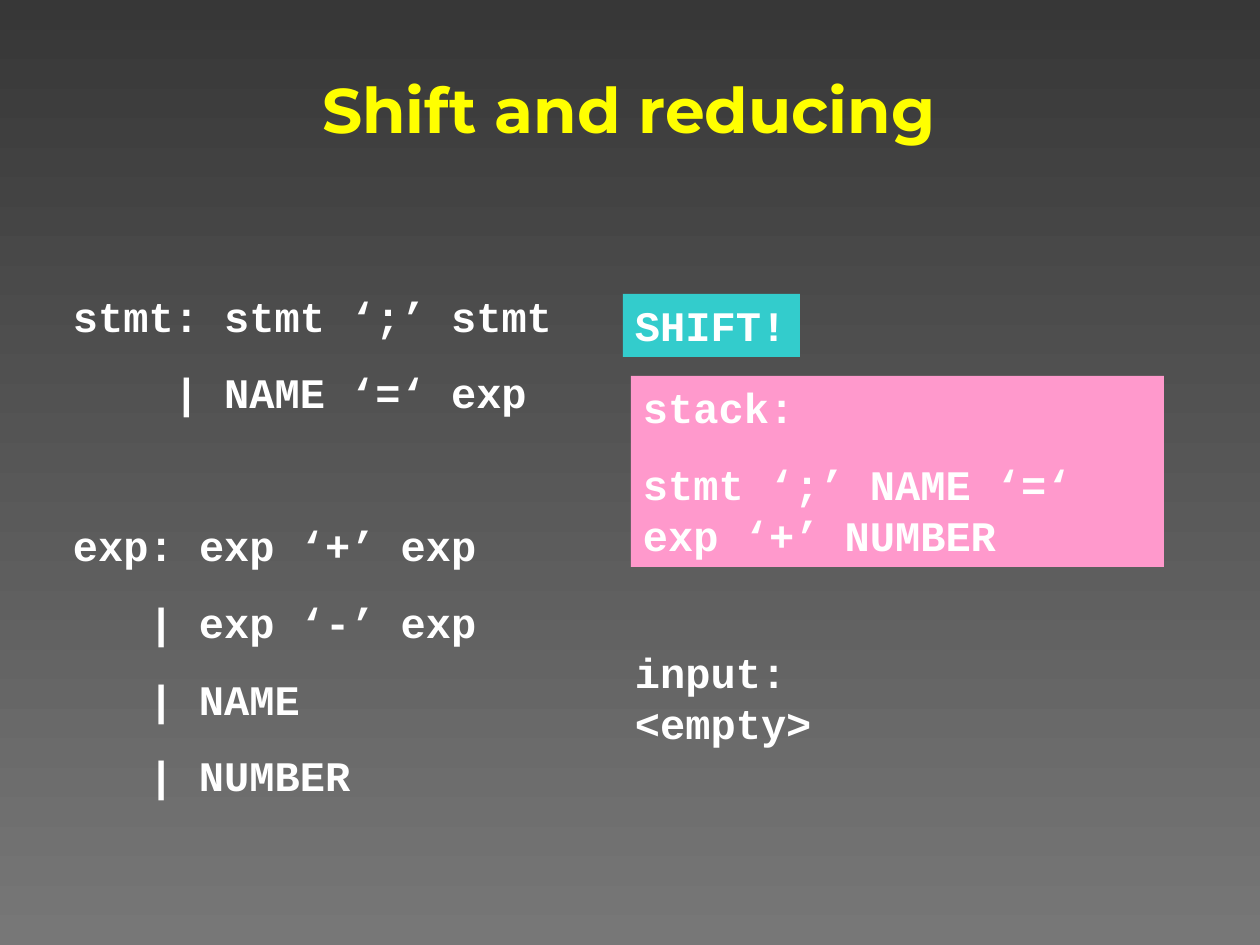
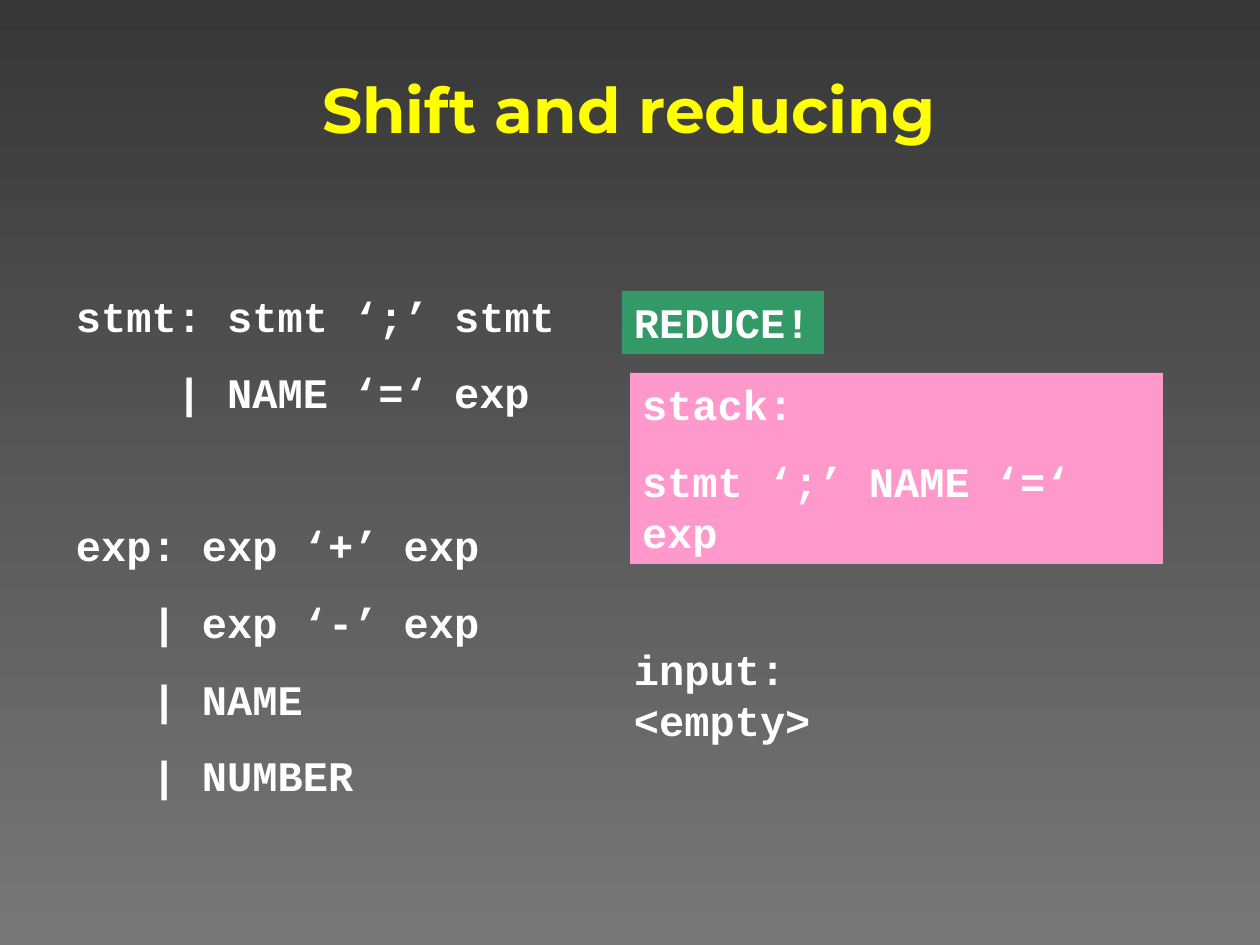
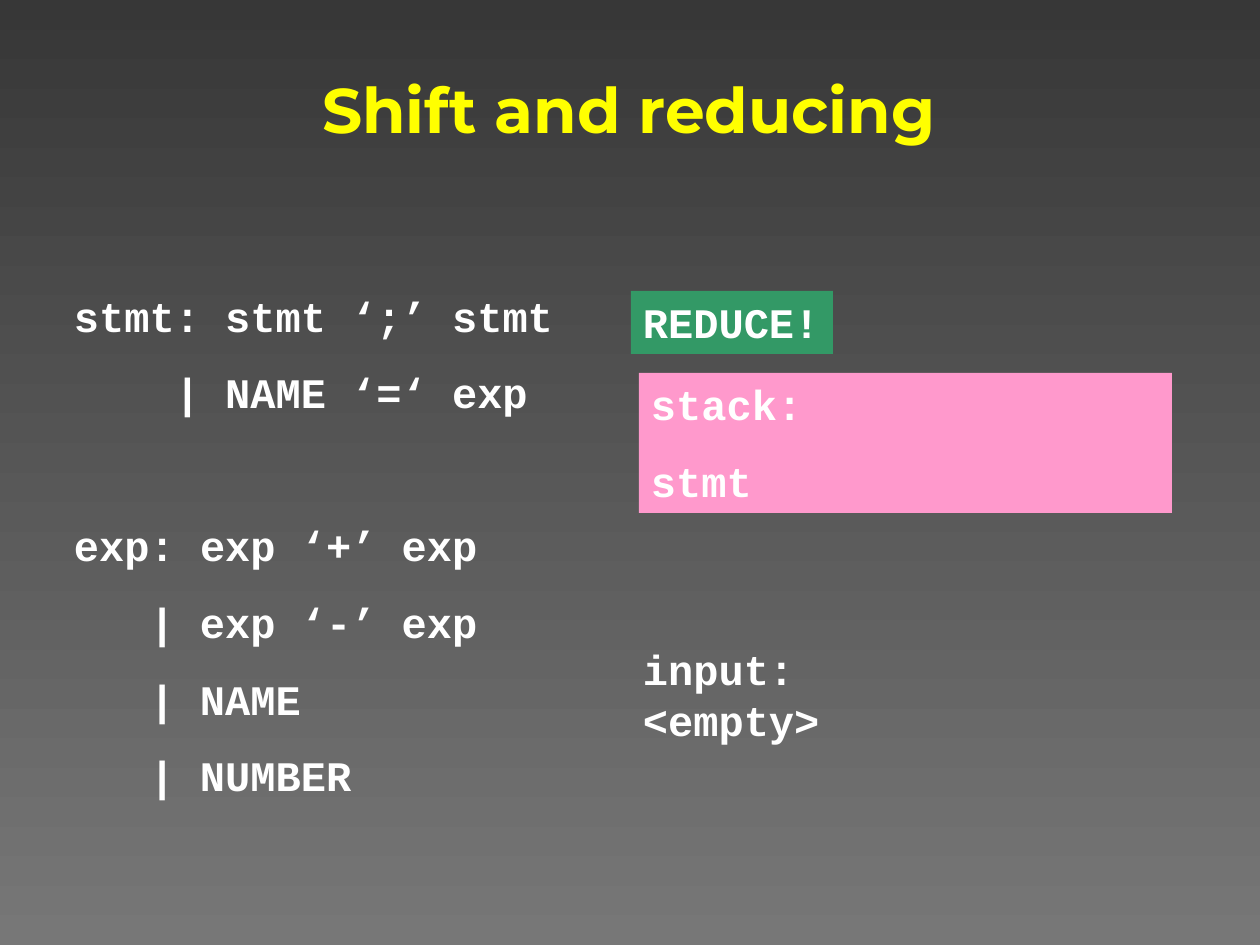
from pptx import Presentation
from pptx.dml.color import RGBColor
from pptx.enum.shapes import MSO_SHAPE
from pptx.enum.text import MSO_ANCHOR, PP_ALIGN
from pptx.util import Emu, Pt

EMU_PER_PX = 914400 / 126
DARK_GREY = RGBColor(0x37, 0x37, 0x37)
MID_GREY = RGBColor(0x77, 0x77, 0x77)
YELLOW = RGBColor(0xFF, 0xFF, 0x00)
WHITE = RGBColor(0xFF, 0xFF, 0xFF)
PINK = RGBColor(0xFF, 0x99, 0xCC)
TEAL = RGBColor(0x33, 0xCC, 0xCC)
GREEN = RGBColor(0x33, 0x99, 0x66)

TITLE_FONT = "Montserrat"
CODE_FONT = "Courier New"
CHAR_W = 25.2
LINE_H = 51
PAD_X, PAD_Y = 12, 6
GAP_PT, LINE_PT = 15, 28.7

GRAMMAR = [
    (0, "stmt: stmt ‘;’ stmt", GAP_PT),
    (4, "| NAME ‘=‘ exp", GAP_PT),
    (0, "exp: exp ‘+’ exp", 2 * GAP_PT + LINE_PT),
    (3, "| exp ‘-’ exp", GAP_PT),
    (3, "| NAME", GAP_PT),
    (3, "| NUMBER", GAP_PT),
]

STEPS = [
    (61, (623, 294), "SHIFT!", TEAL, "stmt ‘;’ NAME ‘=‘ exp ‘+’ NUMBER", 2),
    (64, (622, 291), "REDUCE!", GREEN, "stmt ‘;’ NAME ‘=‘ exp", 2),
    (62, (631, 291), "REDUCE!", GREEN, "stmt", 1),
]


def px(n):
    return Emu(round(n * EMU_PER_PX))


def code_width(text):
    return round(len(text) * CHAR_W) + 2 * PAD_X + 2


def add_box(s, x, y, w, h, fill=None, wrap=True, anchor=MSO_ANCHOR.TOP):
    box = [px(n) for n in (x, y, w, h)]
    if fill is None:
        sp = s.shapes.add_textbox(*box)
    else:
        sp = s.shapes.add_shape(MSO_SHAPE.RECTANGLE, *box)
        sp.shadow.inherit = False
        sp.fill.solid()
        sp.fill.fore_color.rgb = fill
        sp.line.fill.background()
    tf = sp.text_frame
    tf.word_wrap = wrap
    tf.vertical_anchor = anchor
    tf.margin_left = tf.margin_right = px(PAD_X)
    tf.margin_top = tf.margin_bottom = px(PAD_Y)
    return tf


def style(p, font=CODE_FONT, size=24, color=WHITE, align=PP_ALIGN.LEFT):
    p.alignment = align
    p.font.name = font
    p.font.size = Pt(size)
    p.font.bold = True
    p.font.color.rgb = color


def write_code(tf, lines):
    for i, (indent, text, gap) in enumerate(lines):
        p = tf.add_paragraph() if i else tf.paragraphs[0]
        p.text = text
        p.space_before = Pt(gap)
        style(p)
        if indent:
            pPr = p._p.get_or_add_pPr()
            pPr.set("marL", str(px(indent * CHAR_W)))
            pPr.set("indent", "0")


def add_title(s, text):
    tf = add_box(s, 36, 45, 1186, 126, anchor=MSO_ANCHOR.MIDDLE)
    p = tf.paragraphs[0]
    p.text = text
    style(p, TITLE_FONT, 36, YELLOW, PP_ALIGN.CENTER)


def add_grammar(s, x, y):
    write_code(add_box(s, x, y, 514, 523), GRAMMAR)


def add_parser_state(s, x, y, action, color, stack, stack_lines):
    tf = add_box(s, x, y + 347, code_width("<empty>"), 2 * PAD_Y + 2 * LINE_H, wrap=False)
    write_code(tf, [(0, "input:", 0), (0, "<empty>", 0)])

    stack_h = 2 * PAD_Y + (1 + stack_lines) * LINE_H + 26
    tf = add_box(s, x + 8, y + 82, 533, stack_h, PINK)
    write_code(tf, [(0, "stack:", GAP_PT), (0, stack, GAP_PT)])

    tf = add_box(s, x, y, code_width(action), 2 * PAD_Y + LINE_H, color, wrap=False)
    write_code(tf, [(0, action, 0)])


def set_background(master):
    fill = master.background.fill
    fill.gradient()
    fill.gradient_angle = 270
    for stop, position, color in zip(fill.gradient_stops, (0, 1), (DARK_GREY, MID_GREY)):
        stop.position = position
        stop.color.rgb = color


def main():
    prs = Presentation()
    prs.slide_width, prs.slide_height = px(1260), px(945)
    set_background(prs.slide_master)
    for grammar_x, (x, y), *state in STEPS:
        s = prs.slides.add_slide(prs.slide_layouts[6])
        add_title(s, "Shift and reducing")
        add_grammar(s, grammar_x, 284)
        add_parser_state(s, x, y, *state)
    prs.save("out.pptx")


if __name__ == "__main__":
    main()
